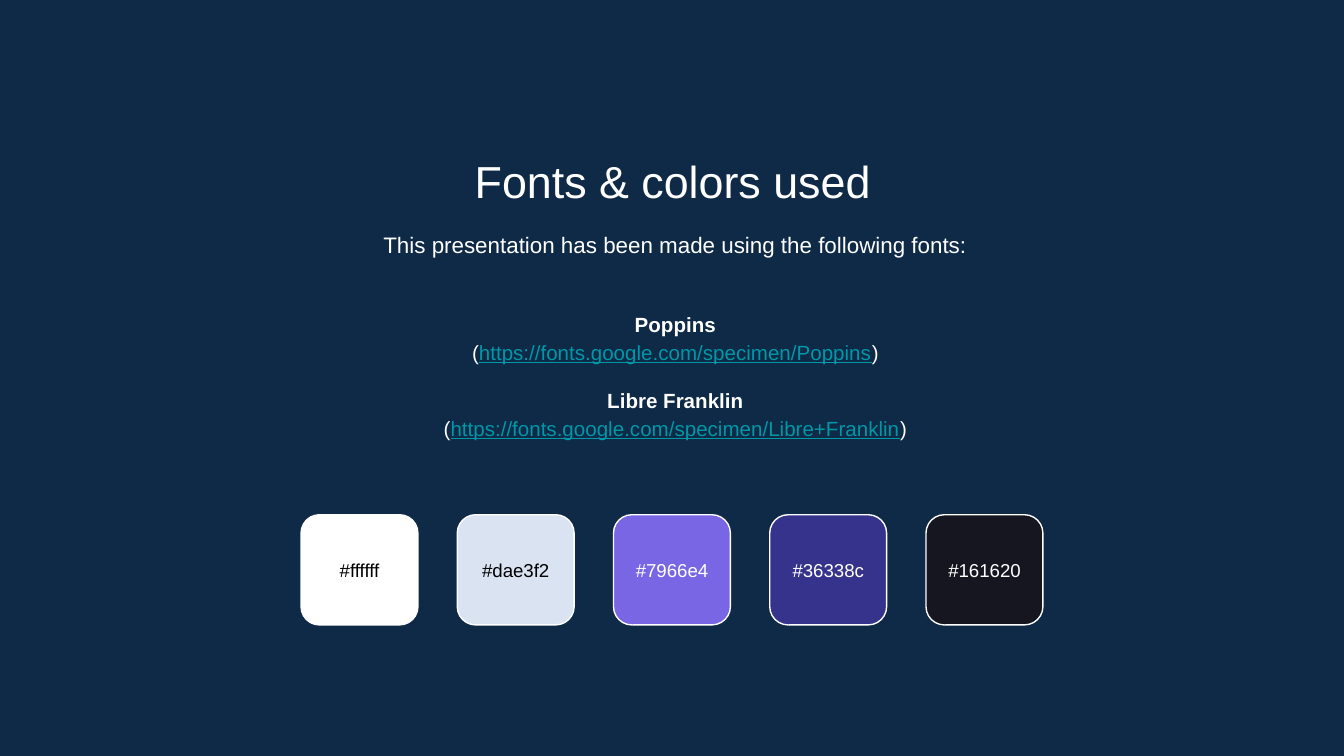
"""Build a slide listing the fonts and colors used in a presentation."""
from dataclasses import dataclass

from pptx import Presentation
from pptx.dml.color import RGBColor
from pptx.enum.shapes import MSO_SHAPE
from pptx.enum.text import MSO_ANCHOR, PP_ALIGN
from pptx.util import Inches, Pt

ROUNDED = MSO_SHAPE.ROUNDED_RECTANGLE
CENTER = PP_ALIGN.CENTER
TOP, MIDDLE = MSO_ANCHOR.TOP, MSO_ANCHOR.MIDDLE

NAVY = RGBColor(0x0E, 0x2A, 0x47)
WHITE = RGBColor(0xFF, 0xFF, 0xFF)
BLACK = RGBColor(0x00, 0x00, 0x00)
TEAL = RGBColor(0x00, 0x97, 0xA7)
PALE_BLUE = RGBColor(0xDA, 0xE3, 0xF2)
VIOLET = RGBColor(0x79, 0x66, 0xE4)
INDIGO = RGBColor(0x36, 0x33, 0x8C)
INK = RGBColor(0x16, 0x16, 0x20)

FIRST_LEFT, LAST_LEFT = 2.24, 6.89
SWATCH_TOP, SWATCH_WIDTH, SWATCH_HEIGHT = 3.83, 0.87, 0.82
LABEL_TOP, LABEL_HEIGHT = 4, 0.48


@dataclass(frozen=True)
class FontSource:
    name: str
    url: str


@dataclass(frozen=True)
class Swatch:
    fill: RGBColor
    text_color: RGBColor


FONT_SOURCES = (
    FontSource("Poppins", "https://fonts.google.com/specimen/Poppins"),
    FontSource("Libre Franklin", "https://fonts.google.com/specimen/Libre+Franklin"),
)
SWATCHES = (
    Swatch(WHITE, BLACK),
    Swatch(PALE_BLUE, BLACK),
    Swatch(VIOLET, WHITE),
    Swatch(INDIGO, WHITE),
    Swatch(INK, WHITE),
)


def set_frame(frame, anchor) -> None:
    settings = {"word_wrap": True, "vertical_anchor": anchor}
    for side in ("left", "right", "top", "bottom"):
        settings[f"margin_{side}"] = Inches(0.1)
    for name, value in settings.items():
        setattr(frame, name, value)


def add_span(para, text: str, size: float, color: RGBColor = WHITE, **formats) -> None:
    para.alignment = CENTER
    span = para.add_run()
    span.text = text
    span.font.color.rgb = color
    for name, value in {"name": "Arial", "size": Pt(size), **formats}.items():
        setattr(span.font, name, value)


def add_title(page, text: str) -> None:
    title = page.shapes.title
    title.left, title.top = Inches(1.15), Inches(1.04)
    title.width, title.height = Inches(7.71), Inches(0.53)
    set_frame(title.text_frame, TOP)
    add_span(title.text_frame.paragraphs[0], text, 24)


def add_text_box(page, left: float, top: float, width: float, height: float, anchor):
    box = page.shapes.add_textbox(Inches(left), Inches(top), Inches(width), Inches(height))
    set_frame(box.text_frame, anchor)
    return box.text_frame


def add_intro(page, text: str) -> None:
    para = add_text_box(page, 1.17, 1.59, 7.71, 0.48, TOP).paragraphs[0]
    para.line_spacing = 1.15
    add_span(para, text, 12)


def add_font_list(page, sources: tuple[FontSource, ...]) -> None:
    frame = add_text_box(page, 1.17, 2.1, 7.71, 1.37, MIDDLE)
    for index, source in enumerate(sources):
        name_para = frame.add_paragraph() if index else frame.paragraphs[0]
        name_para.space_before = Pt(10.5 if index else 0)
        add_span(name_para, source.name, 11, bold=True)
        link_para = frame.add_paragraph()
        add_span(link_para, "(", 11)
        add_span(link_para, source.url, 11, TEAL, underline=True)
        add_span(link_para, ")", 11)
        for para in (name_para, link_para):
            para.line_spacing = 1.15


def add_swatch(page, swatch: Swatch, left: float) -> None:
    box = page.shapes.add_shape(
        ROUNDED, Inches(left), Inches(SWATCH_TOP), Inches(SWATCH_WIDTH), Inches(SWATCH_HEIGHT)
    )
    box.shadow.inherit = False
    box.fill.solid()
    box.fill.fore_color.rgb = swatch.fill
    box.line.color.rgb = WHITE
    box.line.width = Pt(0.75)
    label = add_text_box(page, left, LABEL_TOP, SWATCH_WIDTH, LABEL_HEIGHT, MIDDLE)
    add_span(label.paragraphs[0], f"#{swatch.fill}".lower(), 10, swatch.text_color)


def main() -> None:
    deck = Presentation()
    deck.slide_width = Inches(10)
    deck.slide_height = deck.slide_width * 9 // 16
    page = deck.slides.add_slide(deck.slide_layouts.get_by_name("Title Only"))
    page.background.fill.solid()
    page.background.fill.fore_color.rgb = NAVY
    add_title(page, "Fonts & colors used")
    add_intro(page, "This presentation has been made using the following fonts:")
    add_font_list(page, FONT_SOURCES)
    step = (LAST_LEFT - FIRST_LEFT) / (len(SWATCHES) - 1)
    for index, swatch in enumerate(SWATCHES):
        add_swatch(page, swatch, FIRST_LEFT + index * step)
    deck.save("out.pptx")


if __name__ == "__main__":
    main()
